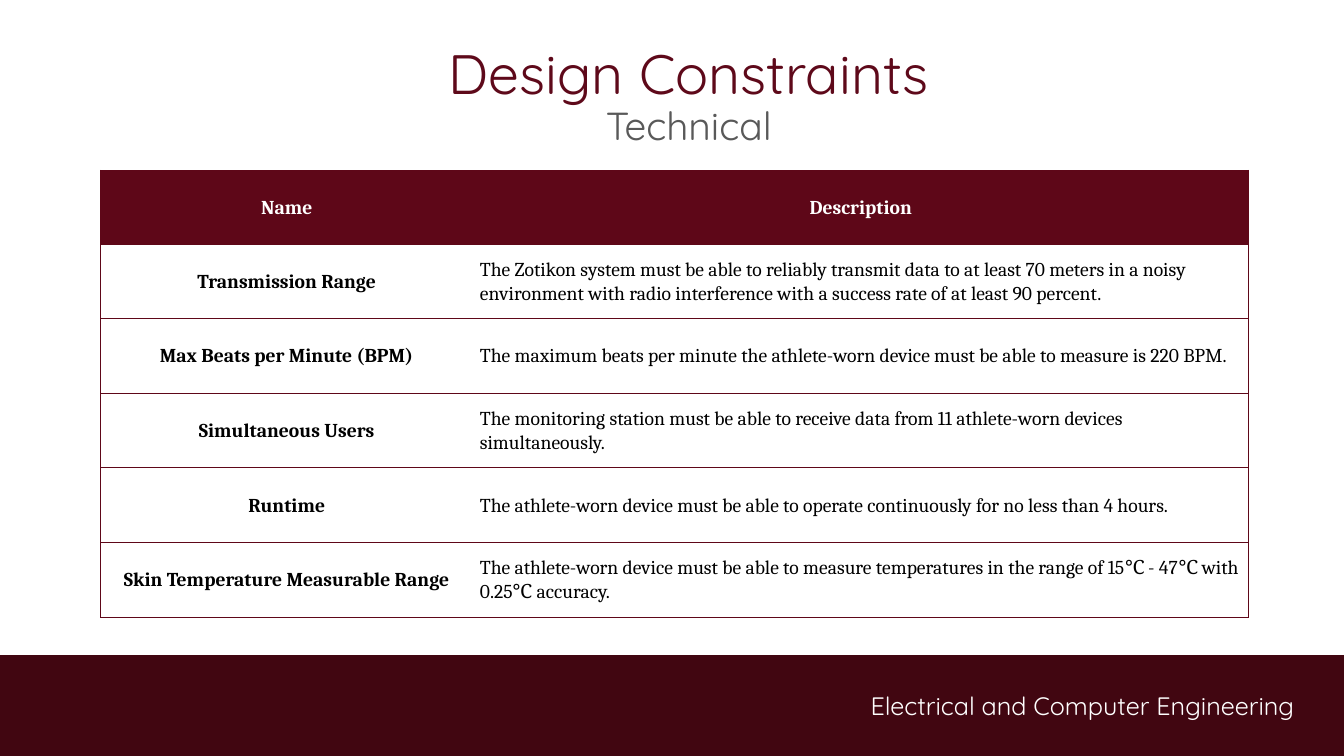
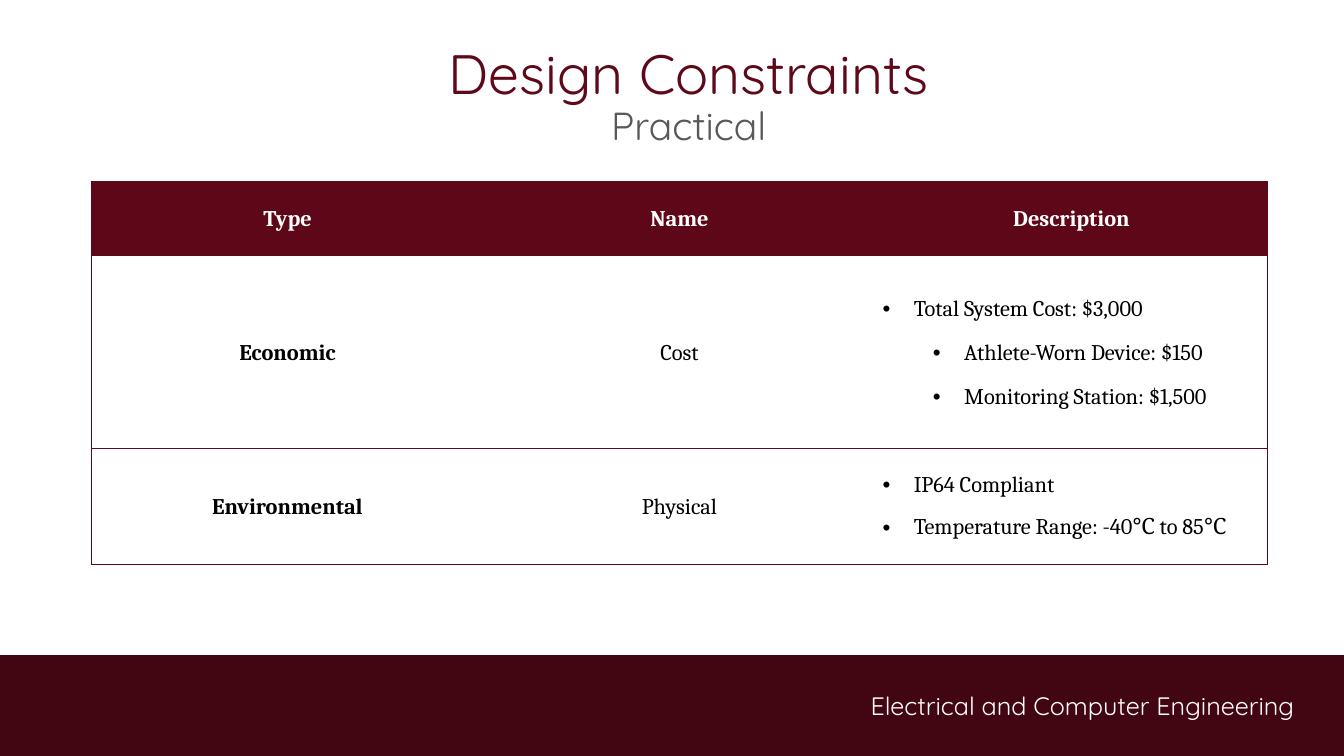
from dataclasses import dataclass
from typing import Optional

from lxml.etree import SubElement
from pptx import Presentation
from pptx.dml.color import RGBColor
from pptx.enum.shapes import MSO_SHAPE as Shape
from pptx.enum.text import MSO_ANCHOR as Anchor, PP_ALIGN as Align
from pptx.oxml.ns import qn
from pptx.util import Pt


# Theme
@dataclass(frozen=True)
class Theme:
    white: str = "FFFFFF"
    black: str = "000000"
    band: str = "410611"
    title: str = "5E091A"
    subtitle: str = "595959"
    grid: str = "5E0718"
    display_font: str = "Quicksand"
    table_font: str = "Cambria"
    title_size: float = 39.6
    subtitle_size: float = 27.9
    footer_size: float = 18
    grid_width: float = 0.75


THEME = Theme()
PAGE_WIDTH, PAGE_HEIGHT = 960, 540
BAND_HEIGHT = 72
CELL_INSET = 5.1
BULLET_HANG = 22.3
LEVEL_STEP = 36


# Content records
@dataclass(frozen=True)
class Line:
    text: str
    level: Optional[int] = None  # None means no bullet


@dataclass(frozen=True)
class Entry:
    lines: tuple[Line, ...]
    bold: bool = False
    centred: bool = False
    spacing: float = 1.06


@dataclass(frozen=True)
class Grid:
    left: float
    top: float
    columns: tuple[float, ...]
    heights: tuple[float, ...]
    size: float
    header: tuple[str, ...]
    rows: tuple[tuple[Entry, ...], ...]


@dataclass(frozen=True)
class Topic:
    subtitle: str
    grid: Grid


def label(text: str, bold: bool = True) -> Entry:
    return Entry((Line(text),), bold=bold, centred=True)


def prose(text: str) -> Entry:
    return Entry((Line(text),))


TOPICS = (
    Topic("Technical", Grid(
        left=72, top=121.7, columns=(265.7, 554.4),
        heights=(52.6,) + (53.3,) * 5, size=14,
        header=("Name", "Description"),
        rows=(
            (label("Transmission Range"),
             prose("The Zotikon system must be able to reliably transmit data to at least "
                   "70 meters in a noisy environment with radio interference with a "
                   "success rate of at least 90 percent.")),
            (label("Max Beats per Minute (BPM)"),
             prose("The maximum beats per minute the athlete-worn device must be able "
                   "to measure is 220 BPM.")),
            (label("Simultaneous Users"),
             prose("The monitoring station must be able to receive data from 11 "
                   "athlete-worn devices simultaneously.")),
            (label("Runtime"),
             prose("The athlete-worn device must be able to operate continuously for "
                   "no less than 4 hours.")),
            (label("Skin Temperature Measurable Range"),
             prose("The athlete-worn device must be able to measure temperatures in the "
                   "range of 15℃ - 47℃ with 0.25℃ accuracy.")),
        ))),
    Topic("Practical", Grid(
        left=65.4, top=129.6, columns=(280,) * 3,
        heights=(53, 137.8, 82.5), size=16,
        header=("Type", "Name", "Description"),
        rows=(
            (label("Economic"), label("Cost", bold=False),
             Entry((Line("Total System Cost: $3,000", 0),
                    Line("Athlete-Worn Device: $150", 1),
                    Line("Monitoring Station: $1,500", 1)))),
            (label("Environmental"), label("Physical", bold=False),
             Entry((Line("IP64 Compliant", 0),
                    Line("Temperature Range: -40℃ to 85℃", 0)), spacing=1)),
        ))),
)


# Text helpers
def add_span(para, text: str, font: str, size: float, colour: str,
             bold: bool = False) -> None:
    span = para.add_run()
    span.text = text
    span.font.name = font
    span.font.size = Pt(size)
    span.font.bold = bold
    span.font.color.rgb = RGBColor.from_string(colour)


def add_text_box(page, left: float, top: float, width: float, height: float, align):
    frame = page.shapes.add_textbox(Pt(left), Pt(top), Pt(width), Pt(height)).text_frame
    frame.word_wrap = True
    frame.paragraphs[0].alignment = align
    return frame


def add_bullet(para, level: int) -> None:
    props = para._p.get_or_add_pPr()
    props.set("marL", str(Pt(BULLET_HANG + LEVEL_STEP * level)))
    props.set("indent", str(-Pt(BULLET_HANG)))
    SubElement(props, qn("a:buFont"), typeface="Arial")
    SubElement(props, qn("a:buChar"), char="•")
    para.level = level


# Shared page parts
def add_footer(page) -> None:
    band = page.shapes.add_shape(Shape.RECTANGLE, 0, Pt(PAGE_HEIGHT - BAND_HEIGHT),
                                 Pt(PAGE_WIDTH), Pt(BAND_HEIGHT))
    band.shadow.inherit = False
    band.fill.solid()
    band.fill.fore_color.rgb = RGBColor.from_string(THEME.band)
    band.line.fill.background()
    frame = add_text_box(page, 568, 489.6, 363.6, 29, Align.RIGHT)
    add_span(frame.paragraphs[0], "Electrical and Computer Engineering",
             THEME.display_font, THEME.footer_size, THEME.white)


def add_title(page, subtitle: str) -> None:
    frame = add_text_box(page, 72, 21.6, 840, 90, Align.CENTER)
    frame.vertical_anchor = Anchor.MIDDLE
    frame.margin_top = Pt(10)
    para = frame.paragraphs[0]
    para.line_spacing = 0.9
    add_span(para, "Design Constraints", THEME.display_font, THEME.title_size, THEME.title)
    para.add_line_break()
    add_span(para, subtitle, THEME.display_font, THEME.subtitle_size, THEME.subtitle)


# Table
def set_borders(cell, sides: set[str]) -> None:
    props = cell._tc.get_or_add_tcPr()
    for side in "LRTB":
        line = SubElement(props, qn(f"a:ln{side}"), w=str(Pt(THEME.grid_width)))
        if side in sides:
            fill = SubElement(line, qn("a:solidFill"))
            SubElement(fill, qn("a:srgbClr"), val=THEME.grid)
        else:
            SubElement(line, qn("a:noFill"))


def fill_cell(cell, entry: Entry, size: float, is_header: bool) -> None:
    cell.vertical_anchor = Anchor.MIDDLE
    cell.margin_left = cell.margin_right = Pt(CELL_INSET)
    cell.margin_top = cell.margin_bottom = 0
    if is_header:
        cell.fill.solid()
        cell.fill.fore_color.rgb = RGBColor.from_string(THEME.grid)
    else:
        cell.fill.background()
    frame = cell.text_frame
    for index, line in enumerate(entry.lines):
        para = frame.add_paragraph() if index else frame.paragraphs[0]
        if line.level is not None:
            add_bullet(para, line.level)
        para.alignment = Align.CENTER if entry.centred else Align.LEFT
        para.line_spacing = entry.spacing
        para.space_before = Pt(6 if index else 0)
        para.space_after = Pt(6)
        add_span(para, line.text, THEME.table_font, size,
                 THEME.white if is_header else THEME.black, entry.bold)


def add_grid(page, grid: Grid) -> None:
    rows = (tuple(label(name) for name in grid.header),) + grid.rows
    table = page.shapes.add_table(
        len(rows), len(grid.columns), Pt(grid.left), Pt(grid.top),
        Pt(sum(grid.columns)), Pt(sum(grid.heights))).table
    table.first_row = table.horz_banding = False
    for column, width in zip(table.columns, grid.columns):
        column.width = Pt(width)
    for row, height in zip(table.rows, grid.heights):
        row.height = Pt(height)
    last = len(grid.columns) - 1
    for row_index, entries in enumerate(rows):
        for column_index, entry in enumerate(entries):
            cell = table.cell(row_index, column_index)
            sides = {"T", "B"}
            if column_index == 0:
                sides.add("L")
            if column_index == last:
                sides.add("R")
            set_borders(cell, sides)
            fill_cell(cell, entry, grid.size, is_header=row_index == 0)


def main() -> None:
    deck = Presentation()
    deck.slide_width, deck.slide_height = Pt(PAGE_WIDTH), Pt(PAGE_HEIGHT)
    for topic in TOPICS:
        page = deck.slides.add_slide(deck.slide_layouts[6])
        add_footer(page)
        add_title(page, topic.subtitle)
        add_grid(page, topic.grid)
    deck.save("out.pptx")


if __name__ == "__main__":
    main()
